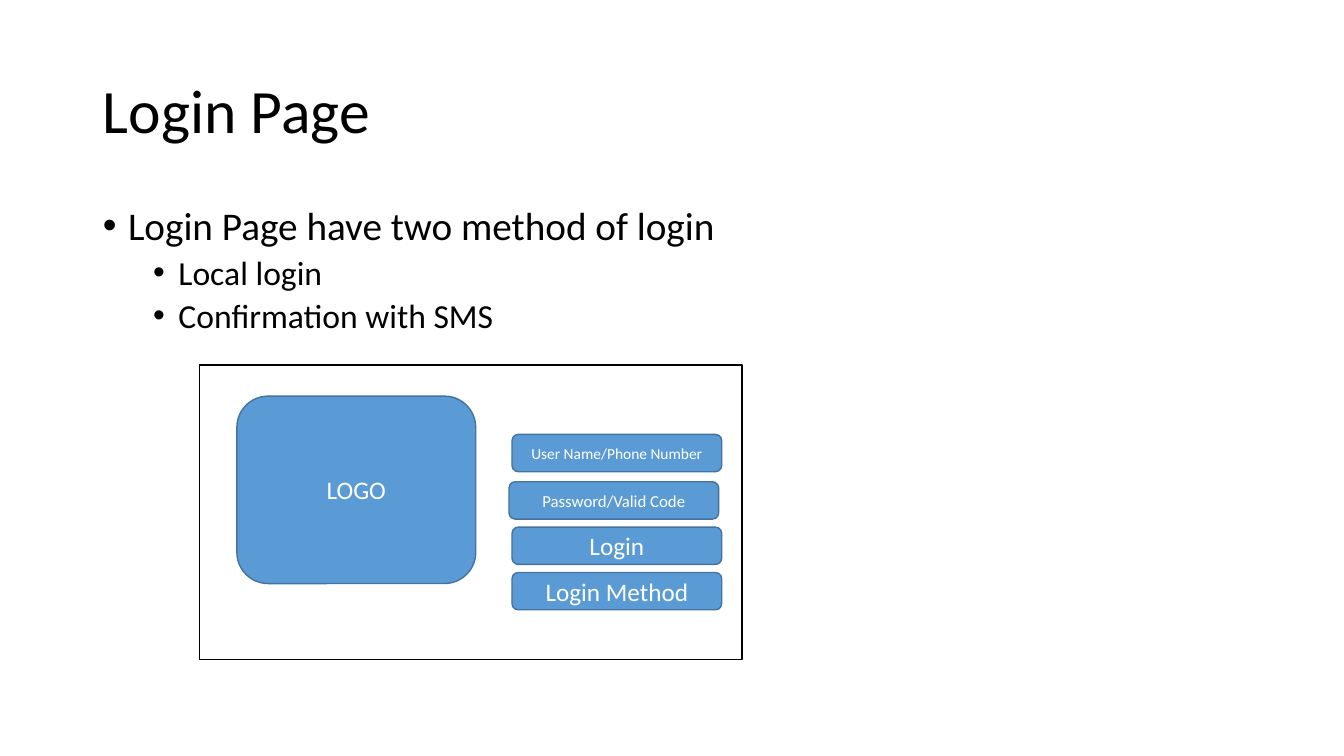
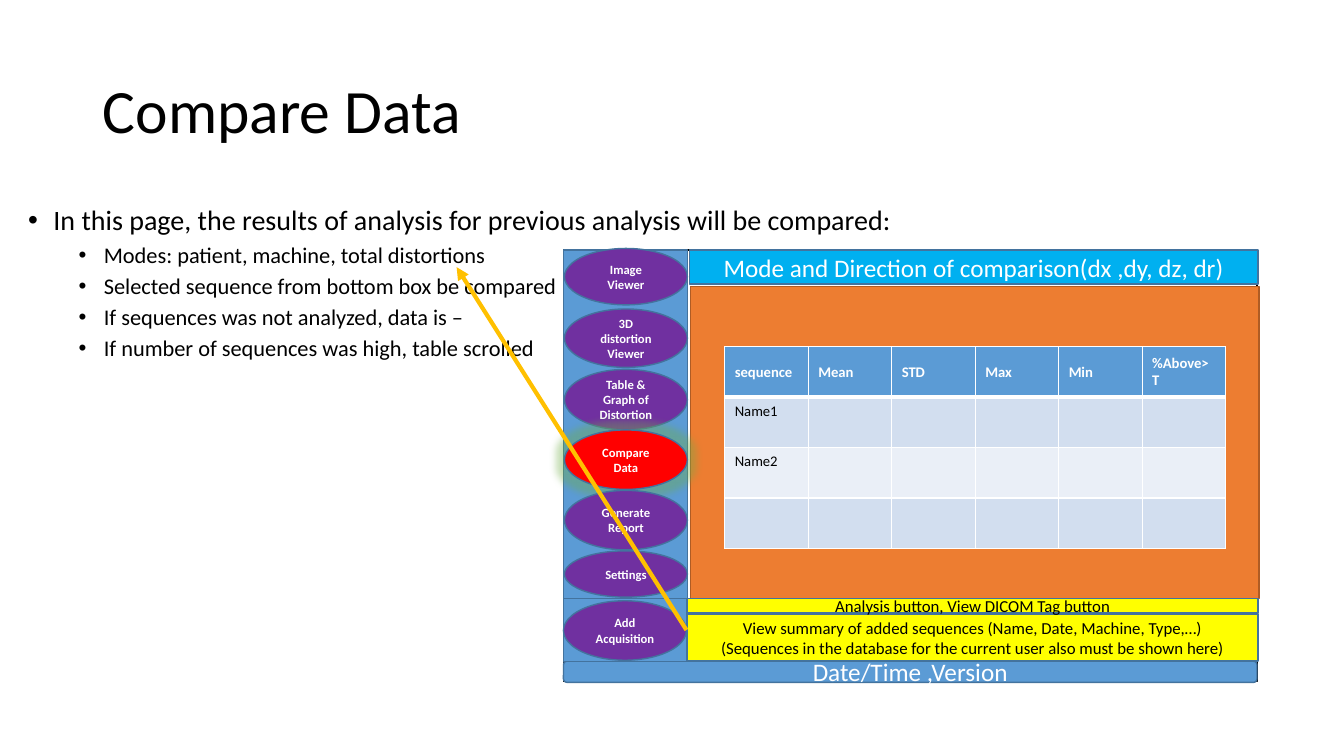
"""Build two wireframe slides: a login page and a data comparison page."""
import dataclasses
import typing

import lxml.etree
import pptx
import pptx.dml.color
import pptx.enum.dml
import pptx.enum.shapes
import pptx.enum.text
import pptx.oxml.ns
import pptx.util

Color = pptx.dml.color.RGBColor
Kind = pptx.enum.shapes.MSO_SHAPE
Align = pptx.enum.text.PP_ALIGN
Anchor = pptx.enum.text.MSO_ANCHOR
qn = pptx.oxml.ns.qn

SLIDE_WIDTH = pptx.util.Inches(13.33)
SLIDE_HEIGHT = pptx.util.Inches(7.5)
COLUMNS = 40
ROWS = 30


@dataclasses.dataclass(frozen=True)
class Theme:
    """Colours, font and type sizes shared by the slides."""
    font: str = "Calibri"
    black: Color = Color(0x00, 0x00, 0x00)
    white: Color = Color(0xFF, 0xFF, 0xFF)
    blue: Color = Color(0x5B, 0x9B, 0xD5)
    outline: Color = Color(0x43, 0x73, 0x9E)
    orange: Color = Color(0xED, 0x7D, 0x31)
    brown: Color = Color(0xAF, 0x5C, 0x24)
    sky: Color = Color(0x00, 0xB0, 0xF0)
    yellow: Color = Color(0xFF, 0xFF, 0x00)
    purple: Color = Color(0x70, 0x30, 0xA0)
    red: Color = Color(0xFF, 0x00, 0x00)
    gold: Color = Color(0xFF, 0xC0, 0x00)
    glow: Color = Color(0x70, 0xAD, 0x47)
    band_dark: Color = Color(0xD2, 0xDE, 0xEF)
    band_light: Color = Color(0xEA, 0xEF, 0xF7)
    title: float = 44
    label: float = 18
    note: float = 12
    hint: float = 11
    cell: float = 10.5
    menu: float = 9


THEME = Theme()


class Area(typing.NamedTuple):
    """A rectangle measured in grid columns and rows."""
    column: float
    row: float
    columns: float
    rows: float


@dataclasses.dataclass(frozen=True)
class Block:
    """A preset shape with its style and optional label."""
    area: Area
    text: str = ""
    size: float = THEME.label
    kind: Kind = Kind.RECTANGLE
    fill: Color | None = THEME.blue
    line: Color = THEME.outline
    ink: Color = THEME.white
    bold: bool = False


@dataclasses.dataclass(frozen=True)
class Outline:
    """A title and a two-level list whose first line is the lead."""
    title: str
    lines: tuple[str, ...]
    area: Area
    lead_size: float
    detail_size: float


TITLE_AREA = Area(2.76, 1.6, 34.5, 5.8)

LOGIN_OUTLINE = Outline(
    "Login Page",
    ("Login Page have two method of login", "Local login", "Confirmation with SMS"),
    Area(2.76, 8, 34.5, 19.04), 28, 24)

COMPARE_OUTLINE = Outline(
    "Compare Data",
    ("In this page, the results of analysis for previous analysis will be compared:",
     "Modes: patient, machine, total distortions",
     "Selected sequence from bottom box be compared",
     "If sequences was not analyzed, data is –",
     "If number of sequences was high, table scrolled"),
    Area(0.54, 8, 36.15, 19.04), 20, 16)

LOGIN_FIELDS = (
    ("User Name/Phone Number", THEME.hint, 15.24, 17.24),
    ("Password/Valid Code", THEME.note, 15.15, 19.12),
    ("Login", THEME.label, 15.24, 20.92),
    ("Login Method", THEME.label, 15.24, 22.72),
)

LOGIN_BLOCKS = (
    Block(Area(5.94, 14.48, 16.14, 11.68), fill=None, line=THEME.black),
    Block(Area(7.05, 15.72, 7.11, 7.44), "LOGO", kind=Kind.ROUNDED_RECTANGLE),
    *(Block(Area(column, row, 6.24, 1.48), text, size, Kind.ROUNDED_RECTANGLE)
      for text, size, column, row in LOGIN_FIELDS),
)

APP_LEFT, APP_TOP, APP_COLUMNS = 16.77, 9.92, 20.64
SIDE_COLUMNS = 3.66
STRIP_LEFT, STRIP_COLUMNS = 20.46, 16.98

COMPARE_BLOCKS = (
    Block(Area(APP_LEFT, APP_TOP, APP_COLUMNS, 17.12), fill=None, line=THEME.black),
    Block(Area(APP_LEFT, 26.24, APP_COLUMNS, 0.84), "Date/Time ,Version",
          kind=Kind.ROUNDED_RECTANGLE),
    Block(Area(APP_LEFT, APP_TOP, 3.69, 13.84)),
    Block(Area(20.55, 11.36, 16.92, 12.4), fill=THEME.orange, line=THEME.brown),
    Block(Area(20.52, APP_TOP, 16.92, 1.36),
          "Mode and Direction of comparison(dx ,dy, dz, dr)", fill=THEME.sky),
    Block(Area(STRIP_LEFT, 24.36, STRIP_COLUMNS, 1.88),
          "View summary of added sequences (Name, Date, Machine, Type,…)\n"
          "(Sequences in the database for the current user also must be shown here)",
          THEME.note, fill=THEME.yellow, ink=THEME.black),
    Block(Area(STRIP_LEFT, 23.76, STRIP_COLUMNS, 0.56),
          "Analysis button, View DICOM Tag button",
          THEME.note, fill=THEME.yellow, ink=THEME.black),
)
ACQUISITION_PANEL = Block(Area(APP_LEFT, 23.76, SIDE_COLUMNS, 2.48))

MENU_TOP, MENU_PITCH = 9.86, 2.4
MENU_ITEMS = (
    ("Image Viewer", 2.24),
    ("3D distortion Viewer", 2.32),
    ("Table & Graph of Distortion", 2.4),
    ("Compare Data", 2.36),
    ("Generate Report", 2.36),
    ("Settings", 1.84),
)
ACTIVE_ITEM = "Compare Data"
ARROW_TIP = (13.59, 10.6)

TABLE_AREA = Area(21.57, 13.76, 14.91, 8)
TABLE_ROWS = (
    ("sequence", "Mean", "STD", "Max", "Min", "%Above>T"),
    ("Name1", "", "", "", "", ""),
    ("Name2", "", "", "", "", ""),
    ("", "", "", "", "", ""),
)


def across(columns: float) -> int:
    """Convert grid columns to a length."""
    return round(SLIDE_WIDTH * columns / COLUMNS)


def down(rows: float) -> int:
    """Convert grid rows to a length."""
    return round(SLIDE_HEIGHT * rows / ROWS)


def place(area: Area) -> tuple[int, int, int, int]:
    """Return left, top, width and height of an area."""
    return across(area.column), down(area.row), across(area.columns), down(area.rows)


def format_runs(para, size: float, ink: Color, bold: bool = False) -> None:
    """Apply the theme font to every run of a paragraph."""
    for span in para.runs:
        span.font.name = THEME.font
        span.font.size = pptx.util.Pt(size)
        span.font.color.rgb = ink
        span.font.bold = bold


def fill_placeholder(holder, area: Area, text: str, anchor: Anchor):
    """Move a placeholder, set its text and return its text frame."""
    holder.left, holder.top, holder.width, holder.height = place(area)
    frame = holder.text_frame
    frame.text = text
    frame.word_wrap = True
    frame.auto_size = pptx.enum.text.MSO_AUTO_SIZE.NONE
    frame.vertical_anchor = anchor
    for para in frame.paragraphs:
        para.alignment = Align.LEFT
        para.line_spacing = 0.9
        para.space_before = pptx.util.Pt(0)
    return frame


def add_bullet(para, level: int) -> None:
    """Give a paragraph a round bullet with a hanging indent."""
    para.level = level
    para.space_before = pptx.util.Pt(5 if level else 10)
    properties = para._p.get_or_add_pPr()
    properties.set("marL", str(pptx.util.Inches(0.25 + 0.5 * level)))
    properties.set("indent", str(pptx.util.Inches(-0.25)))
    lxml.etree.SubElement(properties, qn("a:buFont"), typeface="Arial")
    lxml.etree.SubElement(properties, qn("a:buChar"), char="•")


def add_page(deck, outline: Outline):
    """Add a slide with its title and bulleted list."""
    page = deck.slides.add_slide(deck.slide_layouts[1])
    title = fill_placeholder(page.shapes.title, TITLE_AREA, outline.title, Anchor.MIDDLE)
    format_runs(title.paragraphs[0], THEME.title, THEME.black)
    body = fill_placeholder(page.placeholders[1], outline.area,
                            "\n".join(outline.lines), Anchor.TOP)
    for index, para in enumerate(body.paragraphs):
        add_bullet(para, min(index, 1))
        format_runs(para, outline.detail_size if index else outline.lead_size, THEME.black)
    return page


def add_block(page, block: Block):
    """Draw a block and return its shape."""
    box = page.shapes.add_shape(block.kind, *place(block.area))
    box.shadow.inherit = False
    if block.fill is None:
        box.fill.background()
    else:
        box.fill.solid()
        box.fill.fore_color.rgb = block.fill
    box.line.color.rgb = block.line
    box.line.width = pptx.util.Pt(1)
    if block.text:
        box.text_frame.text = block.text
        box.text_frame.word_wrap = True
        box.text_frame.vertical_anchor = Anchor.MIDDLE
        for para in box.text_frame.paragraphs:
            para.alignment = Align.CENTER
            format_runs(para, block.size, block.ink, block.bold)
    return box


def add_glow(box) -> None:
    """Surround a shape with a soft green glow."""
    effects = box._element.spPr.find(qn("a:effectLst"))
    glow = lxml.etree.SubElement(effects, qn("a:glow"), rad=str(pptx.util.Pt(11)))
    color = lxml.etree.SubElement(glow, qn("a:srgbClr"), val=str(THEME.glow))
    lxml.etree.SubElement(color, qn("a:alpha"), val="40000")


def add_menu(page) -> None:
    """Draw the oval buttons of the side menu."""
    style = Block(Area(0, 0, 0, 0), size=THEME.menu, kind=Kind.OVAL,
                  fill=THEME.purple, bold=True)
    add_block(page, dataclasses.replace(
        style, text="Add Acquisition", area=Area(APP_LEFT, 23.84, SIDE_COLUMNS, 2.36)))
    for index, (text, rows) in enumerate(MENU_ITEMS):
        active = text == ACTIVE_ITEM
        area = Area(16.8, MENU_TOP + index * MENU_PITCH, SIDE_COLUMNS, rows)
        button = add_block(page, dataclasses.replace(
            style, text=text, area=area, fill=THEME.red if active else THEME.purple))
        if active:
            add_glow(button)


def add_arrow(page, source) -> None:
    """Draw an arrow from the right side of a box to the list."""
    tip = across(ARROW_TIP[0]), down(ARROW_TIP[1])
    arrow = page.shapes.add_connector(pptx.enum.shapes.MSO_CONNECTOR.STRAIGHT, *tip, *tip)
    arrow.begin_connect(source, 3)
    arrow.line.color.rgb = THEME.gold
    arrow.line.width = pptx.util.Pt(3)
    lxml.etree.SubElement(arrow.line._get_or_add_ln(), qn("a:tailEnd"), type="triangle")
    lxml.etree.SubElement(arrow._element.spPr, qn("a:effectLst"))


def add_borders(cell, top: float, bottom: float) -> None:
    """Draw white borders around a table cell."""
    properties = cell._tc.get_or_add_tcPr()
    widths = {"a:lnL": 1, "a:lnR": 1, "a:lnT": top, "a:lnB": bottom}
    for index, (tag, width) in enumerate(widths.items()):
        border = lxml.etree.Element(qn(tag), w=str(pptx.util.Pt(width)))
        fill = lxml.etree.SubElement(border, qn("a:solidFill"))
        lxml.etree.SubElement(fill, qn("a:srgbClr"), val=str(THEME.white))
        properties.insert(index, border)


def add_results(page) -> None:
    """Add the table of compared sequences."""
    table = page.shapes.add_table(
        len(TABLE_ROWS), len(TABLE_ROWS[0]), *place(TABLE_AREA)).table
    fills = (THEME.blue, THEME.band_dark, THEME.band_light, THEME.band_dark)
    for row, (texts, fill) in enumerate(zip(TABLE_ROWS, fills)):
        header = row == 0
        for column, text in enumerate(texts):
            cell = table.cell(row, column)
            cell.text = text
            cell.vertical_anchor = Anchor.MIDDLE if header else Anchor.TOP
            cell.fill.solid()
            cell.fill.fore_color.rgb = fill
            add_borders(cell, 3 if row == 1 else 1, 3 if header else 1)
            format_runs(cell.text_frame.paragraphs[0], THEME.cell,
                        THEME.white if header else THEME.black, header)


def main() -> None:
    """Build and save the deck."""
    deck = pptx.Presentation()
    deck.slide_width, deck.slide_height = SLIDE_WIDTH, SLIDE_HEIGHT
    login = add_page(deck, LOGIN_OUTLINE)
    for block in LOGIN_BLOCKS:
        add_block(login, block)
    compare = add_page(deck, COMPARE_OUTLINE)
    for block in COMPARE_BLOCKS:
        add_block(compare, block)
    panel = add_block(compare, ACQUISITION_PANEL)
    add_menu(compare)
    add_arrow(compare, panel)
    add_results(compare)
    deck.save("out.pptx")


if __name__ == "__main__":
    main()
